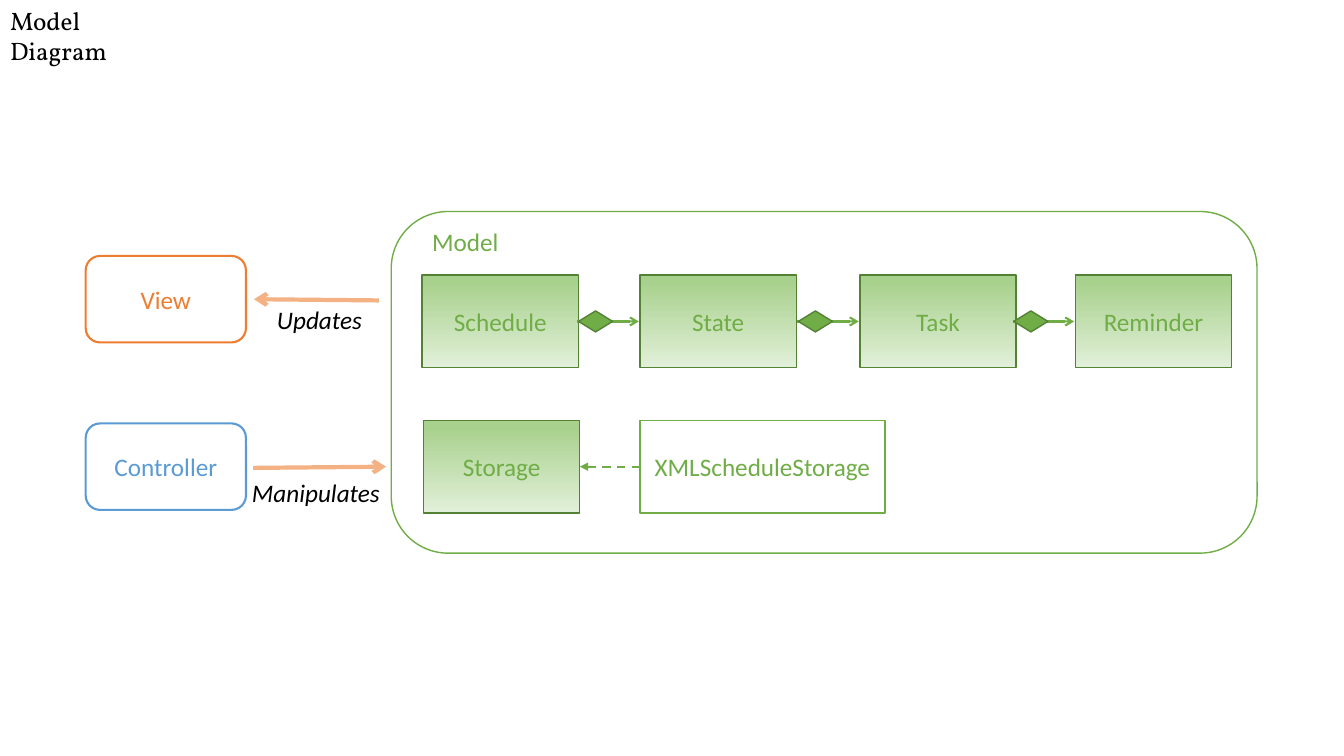
from lxml.etree import SubElement
from pptx import Presentation
from pptx.dml.color import RGBColor
from pptx.enum.dml import MSO_LINE as Dash
from pptx.enum.shapes import MSO_CONNECTOR as Wire, MSO_SHAPE as Kind
from pptx.enum.text import MSO_ANCHOR as Anchor, PP_ALIGN as Align
from pptx.oxml.ns import qn
from pptx.util import Cm, Pt

WHITE = RGBColor(0xFF, 0xFF, 0xFF)
BLACK = RGBColor(0, 0, 0)
GREEN = RGBColor(0x70, 0xAD, 0x47)
DARK = RGBColor(0x54, 0x82, 0x35)
LIGHT = RGBColor(0xA9, 0xD1, 0x8E)
PALE = RGBColor(0xE2, 0xF0, 0xD9)
ORANGE = RGBColor(0xED, 0x7D, 0x31)
PEACH = RGBColor(0xF4, 0xB1, 0x83)
BLUE = RGBColor(0x5B, 0x9B, 0xD5)

BOX_W, BOX_H = 3.94, 2.34
SIDE_W, SIDE_H = 4.04, 2.18
LINK = 1.58
GEM_W, GEM_H = 0.86, 0.53


def write(frame, text, color, align=Align.LEFT, face="Calibri", italic=False):
    frame.word_wrap = True
    para = frame.paragraphs[0]
    para.text = text
    para.alignment = align
    font = para.font
    font.name, font.size, font.italic = face, Pt(18), italic
    font.color.rgb = color


def label(slide, x, y, width, text, color, italic=False):
    area = slide.shapes.add_textbox(Cm(x), Cm(y), Cm(width), Cm(1.02))
    write(area.text_frame, text, color, italic=italic)


def shape(slide, kind, box, edge, text="", color=GREEN, fill=WHITE, weight=1):
    """Draw a preset shape; fill=None gives the green gradient."""
    item = slide.shapes.add_shape(kind, *map(Cm, box))
    item.shadow.inherit = False
    if fill is None:
        item.fill.gradient()
        item.fill.gradient_angle = 270
        for stop, place, tone in zip(item.fill.gradient_stops,
                                     (0.08, 1), (LIGHT, PALE)):
            stop.position = place
            stop.color.rgb = tone
    else:
        item.fill.solid()
        item.fill.fore_color.rgb = fill
    item.line.color.rgb = edge
    item.line.width = Pt(weight)
    if text:
        write(item.text_frame, text, color, Align.CENTER)
        item.text_frame.vertical_anchor = Anchor.MIDDLE


def arrow(slide, start, end, color, weight=1.5, head="arrow", dash=None):
    wire = slide.shapes.add_connector(Wire.STRAIGHT, *map(Cm, start + end))
    wire.line.color.rgb = color
    wire.line.width = Pt(weight)
    if dash:
        wire.line.dash_style = dash
    props = wire._element.spPr
    SubElement(props.find(qn("a:ln")), qn("a:tailEnd"), type=head)
    SubElement(props, qn("a:effectLst"))


def heading(slide, x, y, width, height):
    title = slide.shapes.title
    title.left, title.top = Cm(x), Cm(y)
    title.width, title.height = Cm(width), Cm(height)
    write(title.text_frame, "Model Diagram", BLACK, face="Vollkorn")
    title.text_frame.vertical_anchor = Anchor.TOP


def model(slide, x, y, width, height):
    shape(slide, Kind.ROUNDED_RECTANGLE, (x, y, width, height), GREEN)
    label(slide, x + 0.78, y + 0.26, 2.41, "Model", GREEN)

    # Chain of classes, each owning the next
    top = y + 1.6
    mid = top + BOX_H / 2
    chain = (("Schedule", 0.78), ("State", 6.27),
             ("Task", 11.81), ("Reminder", 17.24))
    for name, shift in chain:
        shape(slide, Kind.RECTANGLE, (x + shift, top, BOX_W, BOX_H),
              DARK, name, fill=None)
    for name, shift in chain[1:]:
        left = x + shift - LINK
        arrow(slide, (left, mid), (x + shift - 0.03, mid), GREEN)
        shape(slide, Kind.DIAMOND,
              (left + 0.03, mid - GEM_H / 2, GEM_W, GEM_H), DARK, fill=GREEN)

    # Storage and its implementation
    low = y + 5.26
    mid = low + BOX_H / 2
    store, xml = x + 0.81, x + 6.27
    shape(slide, Kind.RECTANGLE, (store, low, BOX_W, BOX_H),
          DARK, "Storage", fill=None)
    shape(slide, Kind.RECTANGLE, (xml, low, 6.17, BOX_H),
          GREEN, "XMLScheduleStorage")
    arrow(slide, (xml, mid), (store + BOX_W, mid), GREEN,
          head="triangle", dash=Dash.DASH)


def side(slide, x, y, name, color):
    shape(slide, Kind.ROUNDED_RECTANGLE, (x, y, SIDE_W, SIDE_H),
          color, name, color, weight=1.5)


def view(slide, x, y):
    side(slide, x, y, "View", ORANGE)
    arrow(slide, (x + 7.39, y + 1.12), (x + 4.24, y + 1.09), PEACH, 3)
    label(slide, x + 4.57, y + 1.09, 2.77, "Updates", BLACK, True)


def control(slide, x, y):
    side(slide, x, y, "Controller", BLUE)
    arrow(slide, (x + 4.22, y + 1.12), (x + 7.57, y + 1.09), PEACH, 3)
    label(slide, x + 3.94, y + 1.24, 3.78, "Manipulates", BLACK, True)


deck = Presentation()
deck.slide_width, deck.slide_height = Cm(33.87), Cm(19.05)
page = deck.slides.add_slide(deck.slide_layouts[5])
heading(page, 0, 0, 4.45, 1.8)
model(page, 9.86, 5.33, 21.82, 8.61)
view(page, 2.16, 6.45)
control(page, 2.16, 10.67)
deck.save("out.pptx")
